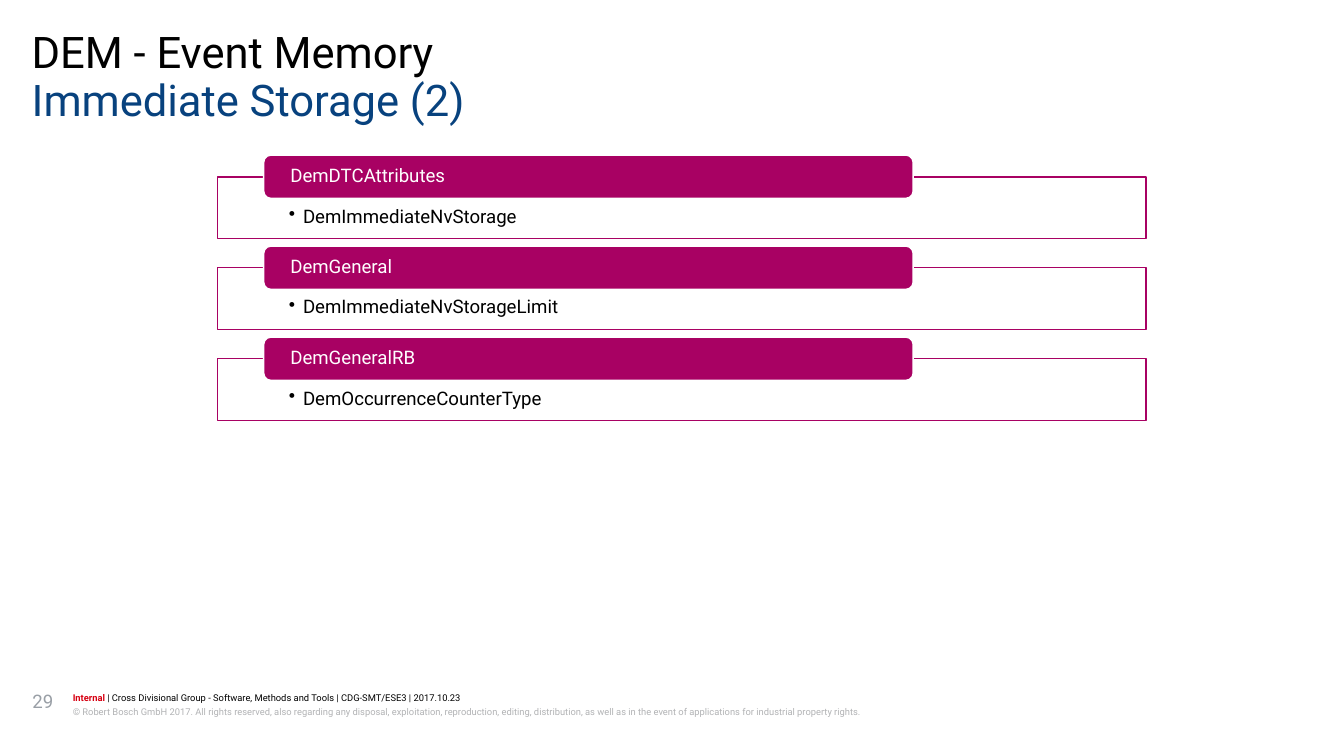
"""Build the slide on immediate storage in the DEM event memory."""
from lxml.etree import SubElement
from pptx import Presentation
from pptx.dml.color import RGBColor as Color
from pptx.enum.shapes import MSO_SHAPE as Shape
from pptx.enum.text import MSO_ANCHOR as Anchor, PP_ALIGN as Align
from pptx.oxml.ns import qn
from pptx.util import Pt

COLORS = {
    "black": "000000", "white": "FFFFFF", "blue": "08427E", "magenta": "A80163",
    "red": "D70012", "gray": "999FA6", "light_gray": "B2B3B5",
}


def write(shape, text, size=12, color="black", bold=False, insets=(0, 0, 0, 0),
          anchor=Anchor.TOP, spacing=1.0, after=0, bullet=False, wrap=True):
    frame = shape.text_frame
    frame.word_wrap = wrap
    frame.vertical_anchor = anchor
    frame.margin_left, frame.margin_top, frame.margin_right, frame.margin_bottom = map(Pt, insets)
    para = frame.paragraphs[0]
    para.alignment = Align.LEFT
    para.line_spacing = spacing
    para.space_after = Pt(after)
    if bullet:
        properties = para._p.get_or_add_pPr()
        properties.set("marL", str(Pt(9)))
        properties.set("indent", str(Pt(-9)))
        SubElement(properties, qn("a:buChar")).set("char", "•")
    span = para.add_run()
    span.text = text
    span.font.name = "Roboto"
    span.font.size = Pt(size)
    span.font.bold = bold
    span.font.color.rgb = Color.from_string(COLORS[color])
    return para


def add_panel(page, kind, left, top, width, height, fill, line):
    panel = page.shapes.add_shape(kind, Pt(left), Pt(top), Pt(width), Pt(height))
    panel.shadow.inherit = False
    panel.fill.solid()
    panel.fill.fore_color.rgb = Color.from_string(COLORS[fill])
    panel.line.color.rgb = Color.from_string(COLORS[line])
    panel.line.width = Pt(1)
    return panel


deck = Presentation()
deck.slide_width, deck.slide_height = Pt(864), Pt(486)
page = deck.slides.add_slide(deck.slide_layouts[6])

for text, top, color in (("DEM - Event Memory", 20.2, "black"),
                         ("Immediate Storage (2)", 51.1, "blue")):
    title = page.shapes.add_textbox(Pt(20.4), Pt(top), Pt(823), Pt(30.2))
    write(title, text, size=28, color=color, spacing=0.89)

containers = (
    ("DemDTCAttributes", "DemImmediateNvStorage"),
    ("DemGeneral", "DemImmediateNvStorageLimit"),
    ("DemGeneralRB", "DemOccurrenceCounterType"),
)
for row, (container, parameter) in enumerate(containers):
    top = 99.7 + 58.5 * row
    body = add_panel(page, Shape.RECTANGLE, 139.7, top + 13.9, 596.9, 39.7, "white", "magenta")
    write(body, parameter, insets=(46.1, 19.4, 46.1, 6.5), spacing=0.9, after=1.8, bullet=True)
    header = add_panel(page, Shape.ROUNDED_RECTANGLE, 169.5, top, 417.6, 27.9, "magenta", "white")
    write(header, container, color="white", insets=(15.8, 0, 15.8, 0),
          anchor=Anchor.MIDDLE, spacing=0.9)

number = page.shapes.add_textbox(Pt(20.9), Pt(443.5), Pt(23), Pt(32.4))
write(number, "29", color="gray", wrap=False)

footer = page.shapes.add_textbox(Pt(46.8), Pt(444.2), Pt(720.7), Pt(8.6))
write(footer, "Internal ", size=6, color="red", bold=True, spacing=1.07, after=1)
department = footer.text_frame.paragraphs[0].add_run()
department.text = "| Cross Divisional Group - Software, Methods and Tools | CDG-SMT/ESE3 | 2017.10.23"
department.font.name = "Roboto"
department.font.size = Pt(6)
department.font.color.rgb = Color.from_string(COLORS["black"])

rights = page.shapes.add_textbox(Pt(46.8), Pt(453.6), Pt(720.7), Pt(17.3))
write(rights, "© Robert Bosch GmbH 2017. All rights reserved, also regarding any disposal, "
      "exploitation, reproduction, editing, distribution, as well as in the event of "
      "applications for industrial property rights.",
      size=6, color="light_gray", spacing=1.07, after=1)

deck.save("out.pptx")
